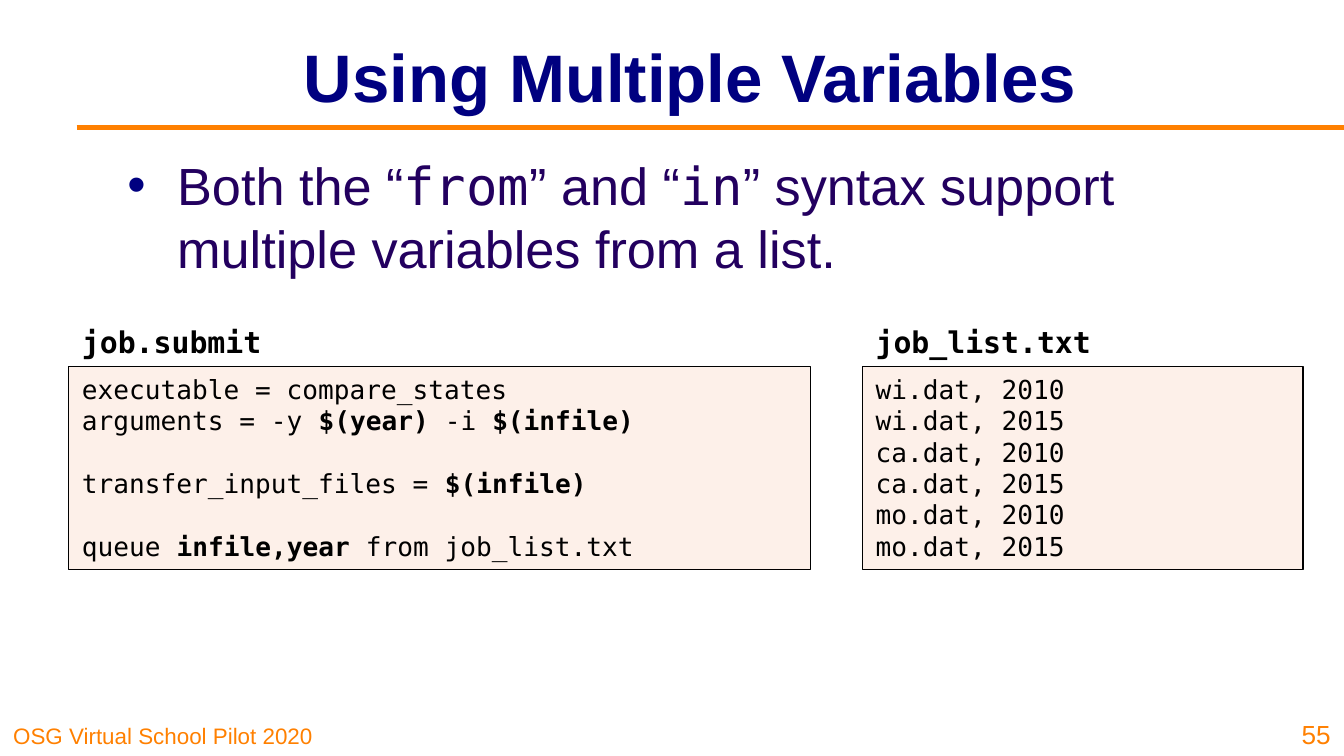
from lxml import etree
from pptx import Presentation
from pptx.dml.color import RGBColor
from pptx.enum.shapes import MSO_CONNECTOR as Connector, MSO_SHAPE as Shape
from pptx.enum.text import MSO_ANCHOR as Anchor, PP_ALIGN as Align
from pptx.oxml.ns import qn
from pptx.util import Cm, Pt

COLORS = {
    "navy": "000080",
    "body": "23005F",
    "orange": "FF8000",
    "code": "000000",
    "panel": "FDF0E9",
}
SANS, MONO = "Arial", "DejaVu Sans Mono"


def rgb(name):
    return RGBColor.from_string(COLORS[name])


def write(shape, text, size, color, font=SANS, bold=False, marked_font=None,
          align=Align.LEFT, anchor=Anchor.TOP, wrap=True):
    """Fill a shape; text between | marks is bold, or set in marked_font."""
    frame = shape.text_frame
    frame.word_wrap = wrap
    frame.vertical_anchor = anchor
    frame.text = text.replace("|", "")
    for paragraph, line in zip(frame.paragraphs, text.split("\n")):
        paragraph.alignment = align
        paragraph.text = ""
        if not line:  # keeps the height of an empty code line
            end = etree.SubElement(paragraph._p, qn("a:endParaRPr"))
            end.set("sz", str(size * 100))
        for index, part in enumerate(line.split("|")):
            if not part:
                continue
            marked = index % 2 == 1
            run = paragraph.add_run()
            run.text = part
            run.font.size = Pt(size)
            run.font.color.rgb = rgb(color)
            run.font.name = marked_font if marked and marked_font else font
            run.font.bold = bold or (marked and not marked_font)


presentation = Presentation()
presentation.slide_width = Cm(25.4)
presentation.slide_height = Cm(14.29)
slide = presentation.slides.add_slide(presentation.slide_layouts[6])
shapes = slide.shapes

# Footer and slide number
footer = shapes.add_textbox(Cm(0), Cm(13.49), Cm(6.3), Cm(0.79))
write(footer, "OSG Virtual School Pilot 2020", 12, "orange", anchor=Anchor.BOTTOM)
number = shapes.add_textbox(Cm(24.23), Cm(13.33), Cm(1.17), Cm(0.96))
write(number, "55", 14, "orange", align=Align.RIGHT, anchor=Anchor.BOTTOM)

# Title and rule
rule = shapes.add_connector(Connector.STRAIGHT, Cm(1.45), Cm(2.41), Cm(25.4), Cm(2.41))
rule.line.color.rgb = rgb("orange")
rule.line.width = Pt(3)
etree.SubElement(rule._element.spPr, qn("a:effectLst"))
title = shapes.add_textbox(Cm(3.4), Cm(0.23), Cm(19.3), Cm(2.39))
write(title, "Using Multiple Variables", 36, "navy", bold=True,
      align=Align.CENTER, anchor=Anchor.MIDDLE)

# Bullet
body = shapes.add_textbox(Cm(2.16), Cm(2.77), Cm(21.59), Cm(9.75))
write(body, "Both the “|from|” and “|in|” syntax support multiple variables from a list.",
      28, "body", marked_font=MONO)
properties = body.text_frame.paragraphs[0]._p.get_or_add_pPr()
properties.set("marL", str(Cm(0.94)))
properties.set("indent", str(-Cm(0.94)))
bullet_color = etree.SubElement(properties, qn("a:buClr"))
etree.SubElement(bullet_color, qn("a:srgbClr")).set("val", COLORS["navy"])
etree.SubElement(properties, qn("a:buFont")).set("typeface", SANS)
etree.SubElement(properties, qn("a:buChar")).set("char", "•")

# File panels: left, width, label width, file name, content
submit_code = """executable = compare_states
arguments = -y |$(year) |-i |$(infile)|

transfer_input_files = |$(infile)|

queue |infile,year |from job_list.txt"""
job_list = "\n".join(f"{state}.dat, {year}"
                     for state in ("wi", "ca", "mo") for year in (2010, 2015))
panels = [
    (1.3, 14.02, 3.94, "job.submit", submit_code),
    (16.3, 8.33, 4.62, "job_list.txt", job_list),
]
for left, width, label_width, name, content in panels:
    panel = shapes.add_shape(Shape.RECTANGLE, Cm(left), Cm(6.93), Cm(width), Cm(3.84))
    panel.shadow.inherit = False
    panel.fill.solid()
    panel.fill.fore_color.rgb = rgb("panel")
    panel.line.color.rgb = rgb("code")
    panel.line.width = Pt(0.75)
    write(panel, content, 14, "code", font=MONO)
    label = shapes.add_textbox(Cm(left), Cm(5.99), Cm(label_width), Cm(0.94))
    write(label, name, 16, "code", font=MONO, bold=True, wrap=False)

presentation.save("out.pptx")
